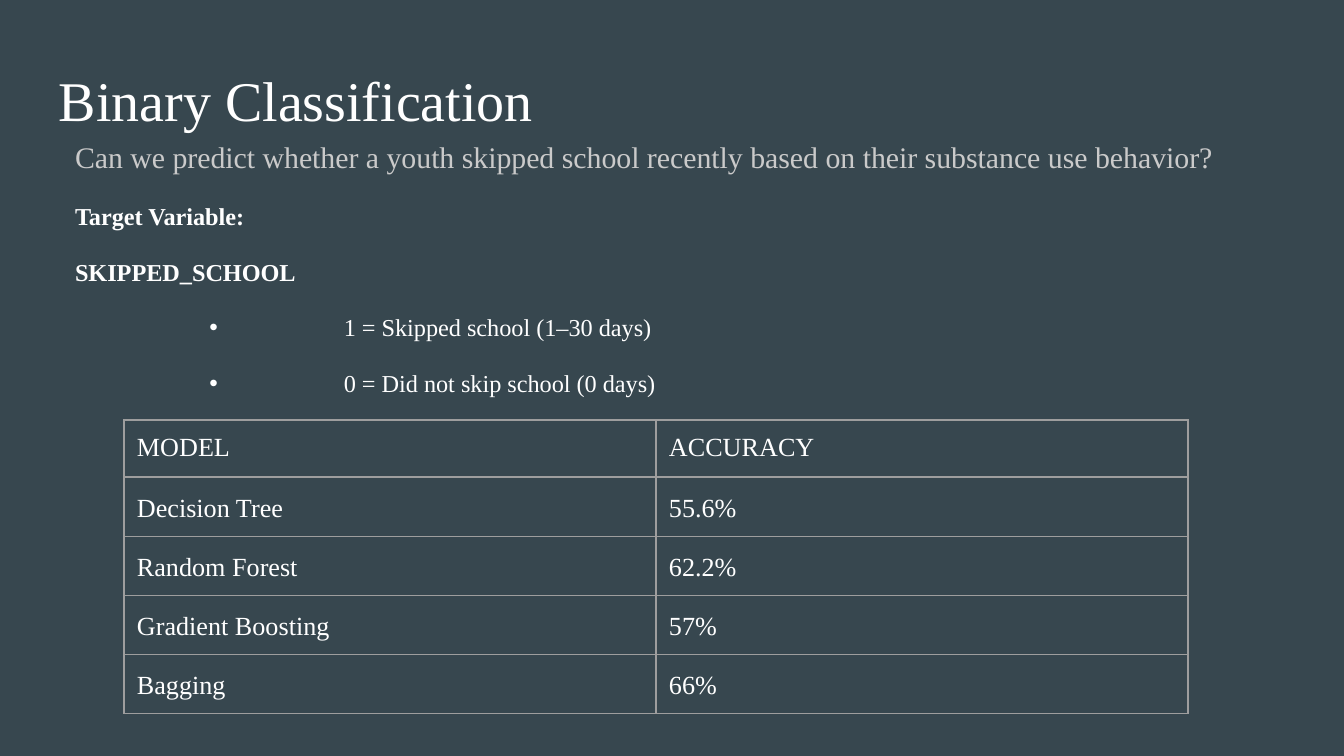
from lxml import etree
from pptx import Presentation
from pptx.dml.color import RGBColor
from pptx.enum.text import MSO_ANCHOR, MSO_AUTO_SIZE, PP_ALIGN
from pptx.oxml.ns import qn
from pptx.util import Emu, Pt

TOP = MSO_ANCHOR.TOP
NO_FIT = MSO_AUTO_SIZE.NONE
LEFT = PP_ALIGN.LEFT

SLATE = RGBColor(0x37, 0x47, 0x4F)
WHITE = RGBColor(0xFF, 0xFF, 0xFF)
SILVER = RGBColor(0xCA, 0xCA, 0xCA)
GRID = RGBColor(0x9E, 0x9E, 0x9E)

FONT = "Times New Roman"
INCH = 914400
SCALE = INCH / 134.4
INSET = 13

# Text, size, colour, bold, bulleted
STATEMENTS = [
    ("Can we predict whether a youth skipped school recently based on their "
     "substance use behavior?", 16, SILVER, False, False),
    ("Target Variable:", 13, WHITE, True, False),
    ("SKIPPED_SCHOOL", 13, WHITE, True, False),
    ("1 = Skipped school (1–30 days)", 13, WHITE, False, True),
    ("0 = Did not skip school (0 days)", 13, WHITE, False, True),
]

RESULTS = [
    ("MODEL", "ACCURACY"),
    ("Decision Tree", "55.6%"),
    ("Random Forest", "62.2%"),
    ("Gradient Boosting", "57%"),
    ("Bagging", "66%"),
]


def px(length):
    return Emu(round(length * SCALE))


def set_insets(target):
    target.margin_left = target.margin_right = px(INSET)
    target.margin_top = target.margin_bottom = px(INSET)


def place(placeholder, left, top, width, height):
    placeholder.left, placeholder.top = px(left), px(top)
    placeholder.width, placeholder.height = px(width), px(height)
    frame = placeholder.text_frame
    frame.word_wrap = True
    frame.auto_size = NO_FIT
    frame.vertical_anchor = TOP
    set_insets(frame)
    return frame


def write(paragraph, text, size, color=WHITE, bold=False):
    paragraph.text = text
    paragraph.alignment = LEFT
    font = paragraph.runs[0].font
    font.name, font.size, font.bold = FONT, Pt(size), bold
    font.color.rgb = color


def space(paragraph, after=0):
    paragraph.line_spacing = 1.15
    paragraph.space_before = Pt(12)
    paragraph.space_after = Pt(after)


def set_bullet(paragraph, bulleted):
    properties = paragraph._p.get_or_add_pPr()
    properties.set("marL", str(2 * INCH if bulleted else 0))
    properties.set("indent", str(-INCH if bulleted else 0))
    if bulleted:
        etree.SubElement(properties, qn("a:buChar"), char="•")
    else:
        etree.SubElement(properties, qn("a:buNone"))


def add_statements(frame):
    for index, (text, size, color, bold, bulleted) in enumerate(STATEMENTS):
        paragraph = frame.add_paragraph() if index else frame.paragraphs[0]
        write(paragraph, text, size, color, bold)
        space(paragraph)
        set_bullet(paragraph, bulleted)


def set_borders(cell):
    properties = cell._tc.get_or_add_tcPr()
    for side in ("a:lnL", "a:lnR", "a:lnT", "a:lnB"):
        line = etree.SubElement(properties, qn(side), w=str(Pt(0.75)))
        fill = etree.SubElement(line, qn("a:solidFill"))
        etree.SubElement(fill, qn("a:srgbClr"), val=str(GRID))


def add_results(slide, left, top, column_width, row_height):
    rows, columns = len(RESULTS), len(RESULTS[0])
    table = slide.shapes.add_table(
        rows, columns, px(left), px(top),
        px(columns * column_width), px(rows * row_height)).table
    table.first_row = table.horz_banding = False
    for row_index, row in enumerate(RESULTS):
        for column_index, text in enumerate(row):
            cell = table.cell(row_index, column_index)
            set_insets(cell)
            set_borders(cell)
            cell.fill.background()
            paragraph = cell.text_frame.paragraphs[0]
            write(paragraph, text, 14)
            if row_index:
                space(paragraph, after=12)


def main():
    presentation = Presentation()
    presentation.slide_width, presentation.slide_height = px(1344), px(756)
    slide = presentation.slides.add_slide(presentation.slide_layouts[1])
    slide.background.fill.solid()
    slide.background.fill.fore_color.rgb = SLATE

    # Title
    heading = place(slide.shapes.title, 46, 52, 1253, 85)
    write(heading.paragraphs[0], "Binary Classification", 30)

    # Question and target variable
    add_statements(place(slide.placeholders[1], 62, 120, 1219, 433))

    # Model accuracy
    add_results(slide, 124, 420, 532, 57)

    presentation.save("out.pptx")


if __name__ == "__main__":
    main()
